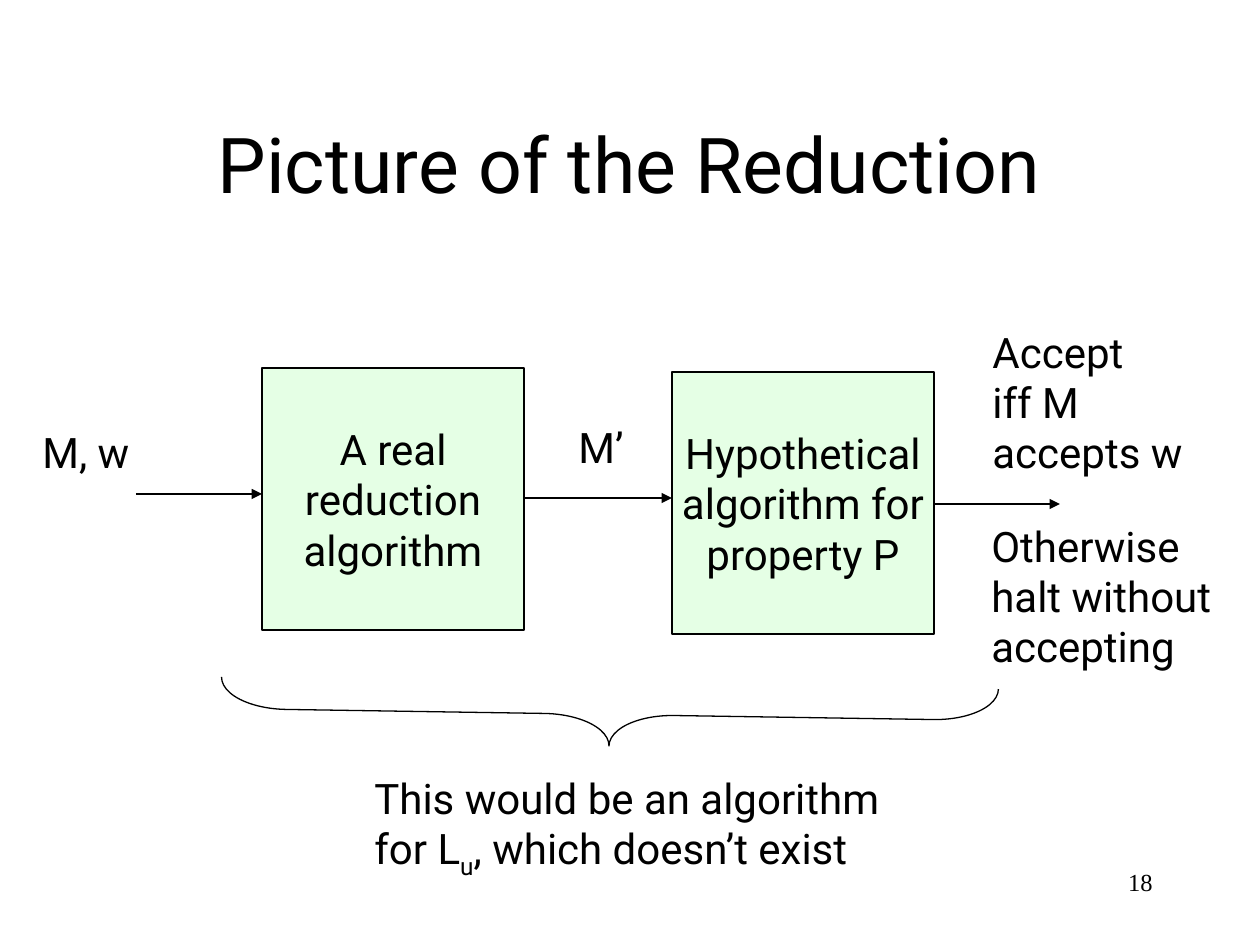
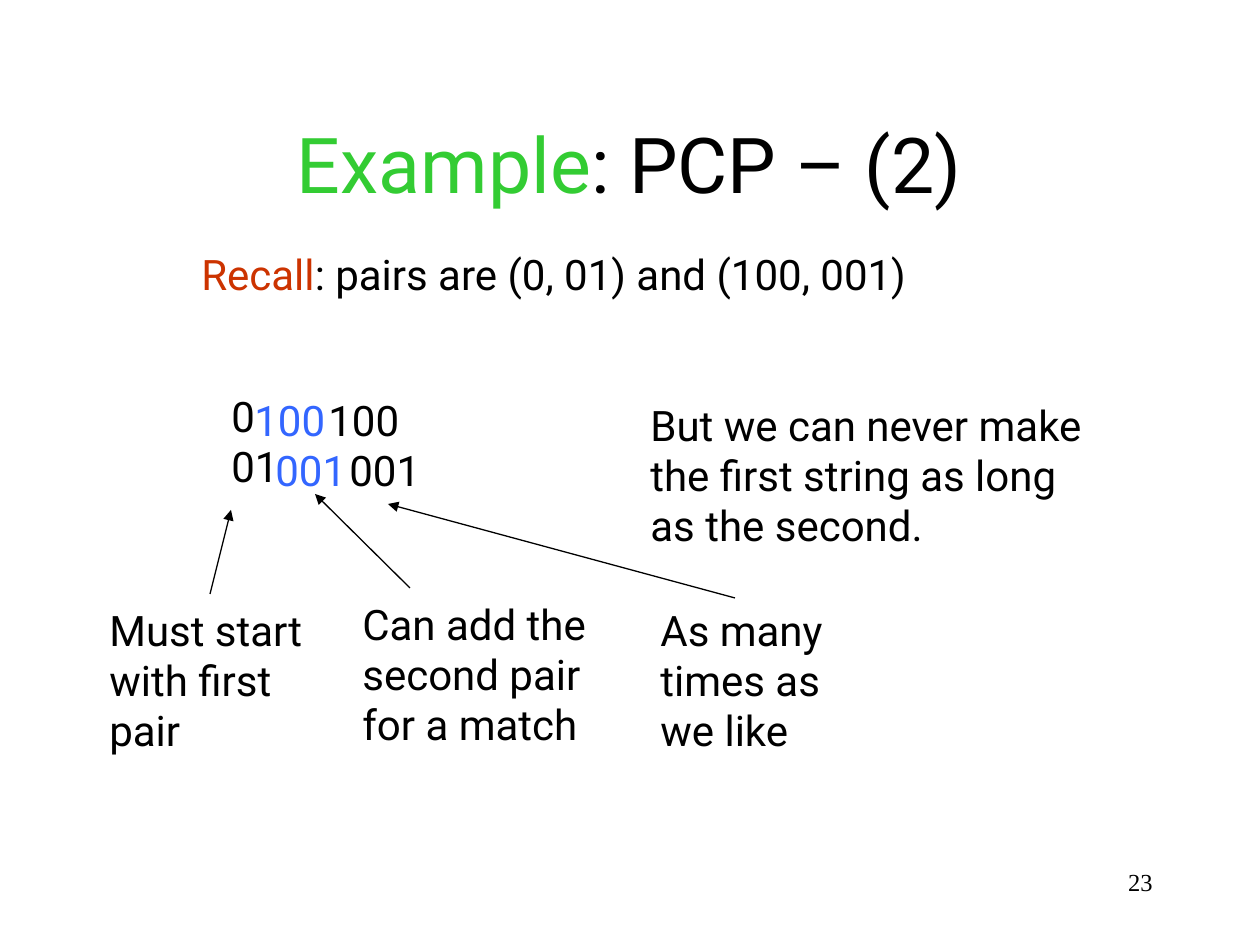
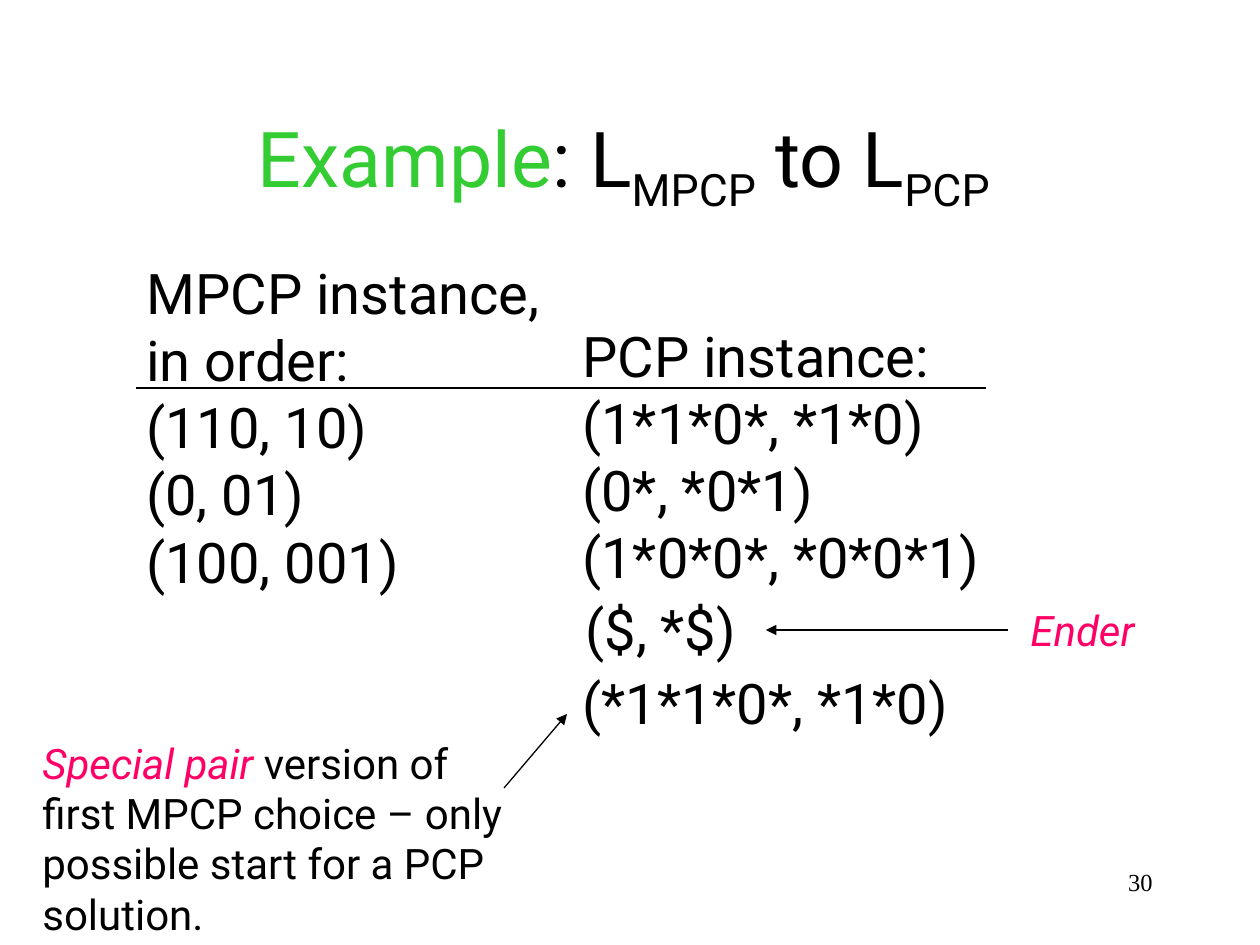
from dataclasses import dataclass

from lxml.etree import SubElement
from pptx import Presentation
from pptx.dml.color import RGBColor
from pptx.enum.shapes import MSO_CONNECTOR, MSO_SHAPE
from pptx.enum.text import MSO_ANCHOR, MSO_AUTO_SIZE, PP_ALIGN
from pptx.oxml.ns import qn
from pptx.util import Emu, Inches, Pt

EMU_PER_PX = 914400 / 126

BLACK = RGBColor(0x00, 0x00, 0x00)
GREEN = RGBColor(0x33, 0xCC, 0x33)
PALE_GREEN = RGBColor(0xCC, 0xFF, 0xCC)
RED = RGBColor(0xCC, 0x33, 0x00)
BLUE = RGBColor(0x33, 0x66, 0xFF)
PINK = RGBColor(0xFF, 0x00, 0x66)

SUBSCRIPT = {"subscript": True}
EMPHASIS = {"color": PINK, "italic": True}
BODY = {"name": "Roboto", "size": Pt(24)}
LARGE = {"name": "Roboto", "size": Pt(32)}
TITLE = {"name": "Roboto", "size": Pt(44)}
NUMBER = {"name": "Times New Roman", "size": Pt(14)}


def px(length):
    return Emu(round(length * EMU_PER_PX))


@dataclass
class Box:
    left: int
    top: int
    width: int
    height: int

    def inside(self, left, top, width, height):
        """Return the box that lies at an offset from this one."""
        return Box(self.left + left, self.top + top, width, height)

    def point(self, across, down):
        return self.left + across, self.top + down

    def emu(self):
        return [px(n) for n in (self.left, self.top, self.width, self.height)]


TITLE_BOX = Box(94, 84, 1071, 158)
NUMBER_BOX = Box(903, 861, 262, 63)


def add_run(paragraph, text, base, color=BLACK, italic=False, subscript=False):
    run = paragraph.add_run()
    run.text = text
    for attribute, value in {**base, "italic": italic}.items():
        setattr(run.font, attribute, value)
    run.font.color.rgb = color
    if subscript:
        run.font._element.set("baseline", "-25000")


def write_lines(frame, lines, base, align=PP_ALIGN.LEFT):
    """Write one paragraph per line; a line is a string or a list of (text, style)."""
    for index, line in enumerate(lines):
        paragraph = frame.add_paragraph() if index else frame.paragraphs[0]
        paragraph.alignment = align
        for text, style in [(line, {})] if isinstance(line, str) else line:
            add_run(paragraph, text, base, **style)


def add_label(slide, box, lines, base=BODY):
    frame = slide.shapes.add_textbox(*box.emu()).text_frame
    frame.word_wrap = False
    frame.auto_size = MSO_AUTO_SIZE.SHAPE_TO_FIT_TEXT
    write_lines(frame, lines, base)
    return frame


def add_line(slide, start, end, arrow=True):
    connector = slide.shapes.add_connector(
        MSO_CONNECTOR.STRAIGHT, *(px(n) for n in (*start, *end)))
    connector.line.color.rgb = BLACK
    connector.line.width = Pt(0.75)
    if arrow:
        SubElement(connector.line._get_or_add_ln(), qn("a:tailEnd"), type="triangle")
    SubElement(connector._element.spPr, qn("a:effectLst"))


def add_outlined(slide, preset, box):
    shape = slide.shapes.add_shape(preset, *box.emu())
    shape.shadow.inherit = False
    shape.line.color.rgb = BLACK
    shape.line.width = Pt(0.75)
    return shape


def add_algorithm(slide, box, lines):
    shape = add_outlined(slide, MSO_SHAPE.RECTANGLE, box)
    shape.fill.solid()
    shape.fill.fore_color.rgb = PALE_GREEN
    color = shape._element.spPr.find(f".//{qn('a:solidFill')}/{qn('a:srgbClr')}")
    SubElement(color, qn("a:alpha"), val="50000")
    shape.text_frame.word_wrap = False
    shape.text_frame.vertical_anchor = MSO_ANCHOR.MIDDLE
    write_lines(shape.text_frame, lines, BODY, PP_ALIGN.CENTER)


def add_titled_slide(presentation, title, number):
    slide = presentation.slides.add_slide(presentation.slide_layouts[6])
    for box, line, base, align, anchor in (
            (NUMBER_BOX, str(number), NUMBER, PP_ALIGN.RIGHT, MSO_ANCHOR.TOP),
            (TITLE_BOX, title, TITLE, PP_ALIGN.CENTER, MSO_ANCHOR.MIDDLE)):
        frame = slide.shapes.add_textbox(*box.emu()).text_frame
        frame.word_wrap = True
        frame.vertical_anchor = anchor
        write_lines(frame, [line], base, align)
    return slide


def draw_pipeline(slide, box):
    """Draw the input, both algorithms and the two outcomes from left to right."""
    add_algorithm(slide, box.inside(232, 48, 262, 262),
                  ["A real", "reduction", "algorithm"])
    add_algorithm(slide, box.inside(642, 52, 262, 262),
                  ["Hypothetical", "algorithm for", "property P"])
    for start, end, down in ((106, 232, 174), (495, 642, 178), (904, 1030, 184)):
        add_line(slide, box.point(start, down), box.point(end, down))
    for place, lines in (
            ((0, 100, 118, 63), ["M, w"]),
            ((536, 95, 71, 63), ["M’"]),
            ((950, 0, 218, 164), ["Accept", "iff M", "accepts w"]),
            ((949, 194, 263, 164), ["Otherwise", "halt without", "accepting"])):
        add_label(slide, box.inside(*place), lines)


def draw_braced_summary(slide, box):
    """Draw a slightly tilted brace as wide as the box, with its caption below."""
    depth, middle = 63, 38
    brace = add_outlined(slide, MSO_SHAPE.LEFT_BRACE, box.inside(
        (box.width - depth) // 2, middle - box.width // 2, depth, box.width))
    brace.fill.background()
    brace.rotation = 270.9
    brace.adjustments[0] = 1.03
    brace.adjustments[1] = 0.5
    add_label(slide, box.inside(141, 90, 563, 121), [
        "This would be an algorithm",
        [("for L", {}), ("u", SUBSCRIPT), (", which doesn’t exist", {})]])


def draw_string_pair(slide, box, first, second, color=BLACK, indent=0):
    style = {"color": color}
    frame = add_label(slide, box, [[(first, style)], [(second, style)]])
    frame.paragraphs[1]._p.get_or_add_pPr().set("marL", str(px(indent)))


def draw_match(slide, box):
    """Draw the two growing strings, with a note and an arrow for each part."""
    draw_string_pair(slide, box.inside(122, 0, 73, 113), "0", "01")
    draw_string_pair(slide, box.inside(145, 4, 118, 113), "100", "001", BLUE, 21)
    draw_string_pair(slide, box.inside(219, 4, 118, 113), "100", "001", indent=21)
    for place, lines, start, end in (
            ((0, 214, 227, 164), ["Must start", "with first", "pair"],
             (113, 210), (134, 126)),
            ((253, 208, 263, 164), ["Can add the", "second pair", "for a match"],
             (313, 204), (218, 110)),
            ((551, 214, 199, 164), ["As many", "times as", "we like"],
             (638, 214), (291, 120))):
        add_label(slide, box.inside(*place), lines)
        add_line(slide, box.point(*start), box.point(*end))


def draw_instances(slide, box):
    """Draw the two columns of pairs and the rule under their headings."""
    add_label(slide, box.inside(0, 0, 430, 349),
              ["MPCP instance,", "in order:", "(110, 10)", "(0, 01)", "(100, 001)"],
              LARGE)
    add_label(slide, box.inside(436, 63, 466, 282),
              ["PCP instance:", "(1*1*0*, *1*0)", "(0*, *0*1)", "(1*0*0*, *0*0*1)"],
              LARGE)
    add_line(slide, box.point(2, 136), box.point(852, 136), arrow=False)


def draw_added_pairs(slide, box):
    """Draw the ender and the special pair, each with its note and arrow."""
    add_label(slide, box.inside(543, 0, 183, 81), ["($, *$)"], LARGE)
    add_label(slide, box.inside(988, 10, 132, 63), [[("Ender", EMPHASIS)]])
    add_line(slide, box.point(978, 42), box.point(736, 42))
    add_label(slide, box.inside(540, 74, 433, 81), ["(*1*1*0*, *1*0)"], LARGE)
    add_label(slide, box.inside(0, 143, 493, 214), [
        [("Special pair ", EMPHASIS), ("version of", {})],
        "first MPCP choice – only", "possible start for a PCP", "solution."])
    add_line(slide, box.point(474, 200), box.point(537, 126))


def build_reduction_slide(presentation):
    slide = add_titled_slide(presentation, "Picture of the Reduction", 18)
    draw_pipeline(slide, Box(30, 320, 1212, 358))
    draw_braced_summary(slide, Box(221, 676, 777, 211))


def build_match_slide(presentation):
    slide = add_titled_slide(
        presentation, [("Example", {"color": GREEN}), (": PCP – (2)", {})], 23)
    add_label(slide, Box(189, 242, 755, 63), [
        [("Recall", {"color": RED}), (": pairs are (0, 01) and (100, 001)", {})]])
    draw_match(slide, Box(97, 384, 750, 378))
    add_label(slide, Box(638, 393, 484, 164),
              ["But we can never make", "the first string as long", "as the second."])


def build_instances_slide(presentation):
    slide = add_titled_slide(presentation, [
        ("Example", {"color": GREEN}), (": L", {}), ("MPCP", SUBSCRIPT),
        (" to L", {}), ("PCP ", SUBSCRIPT)], 30)
    draw_instances(slide, Box(134, 252, 902, 349))
    draw_added_pairs(slide, Box(30, 588, 1120, 357))


def main():
    presentation = Presentation()
    presentation.slide_width = Inches(10)
    presentation.slide_height = Inches(7.5)
    build_reduction_slide(presentation)
    build_match_slide(presentation)
    build_instances_slide(presentation)
    presentation.save("out.pptx")


if __name__ == "__main__":
    main()
